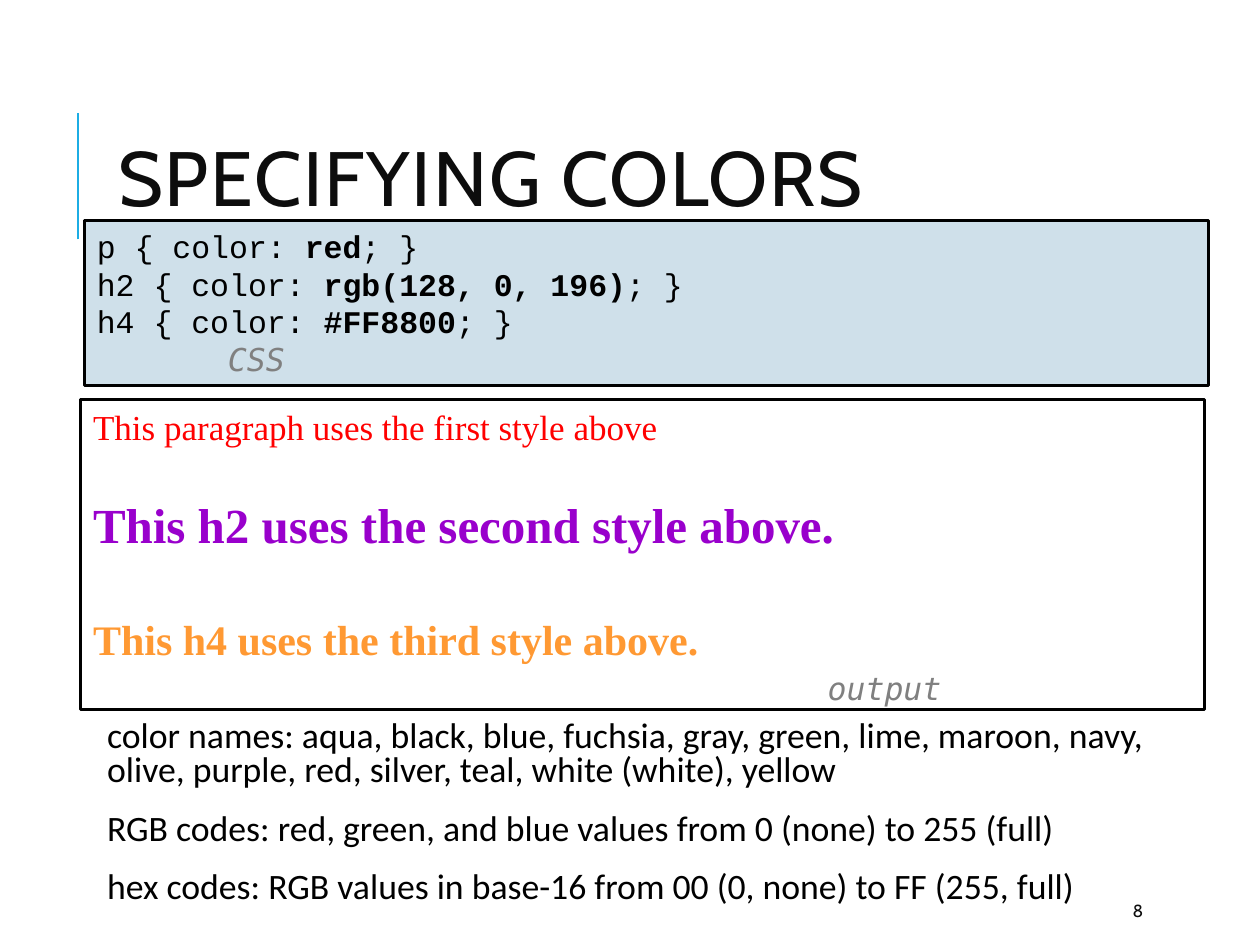
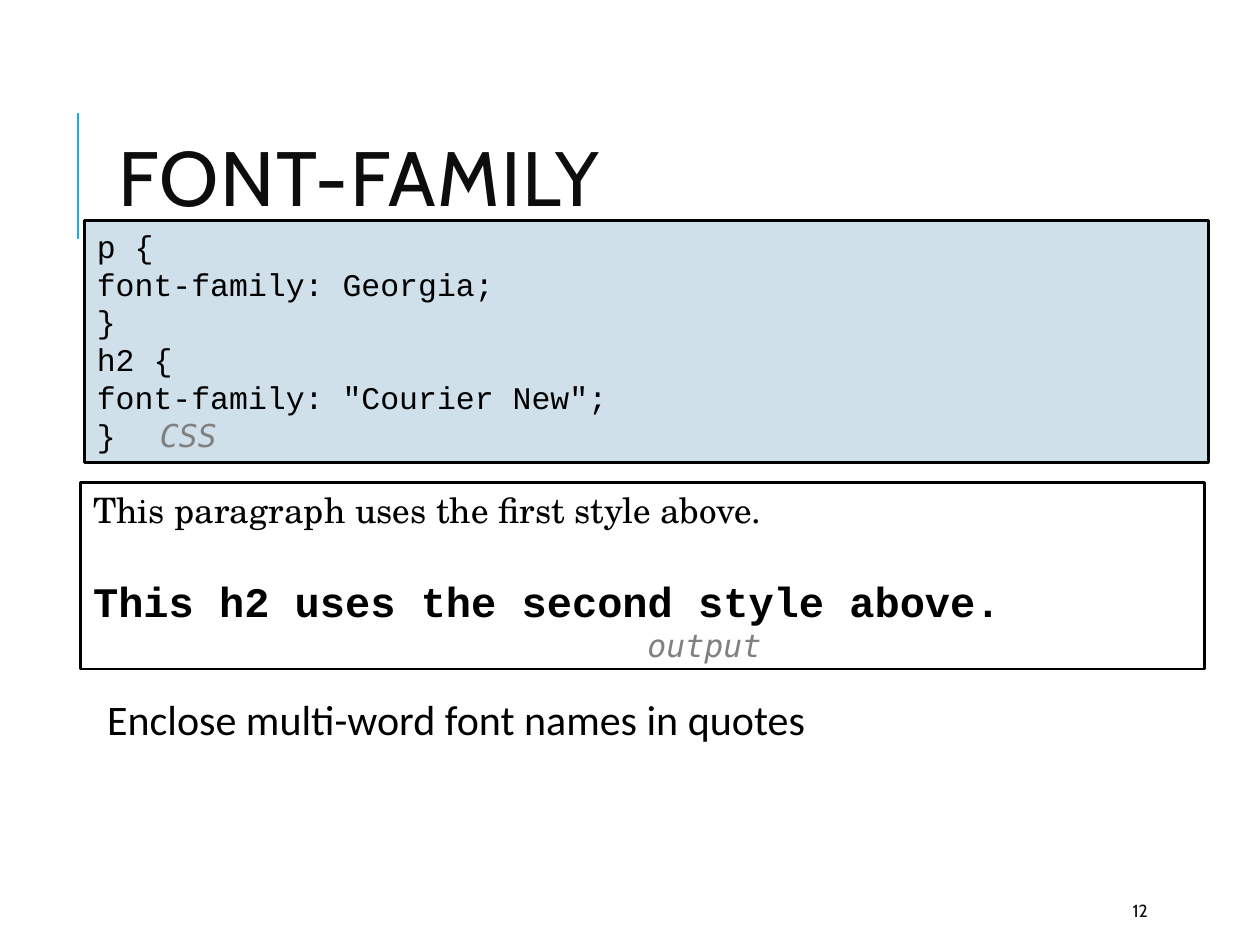
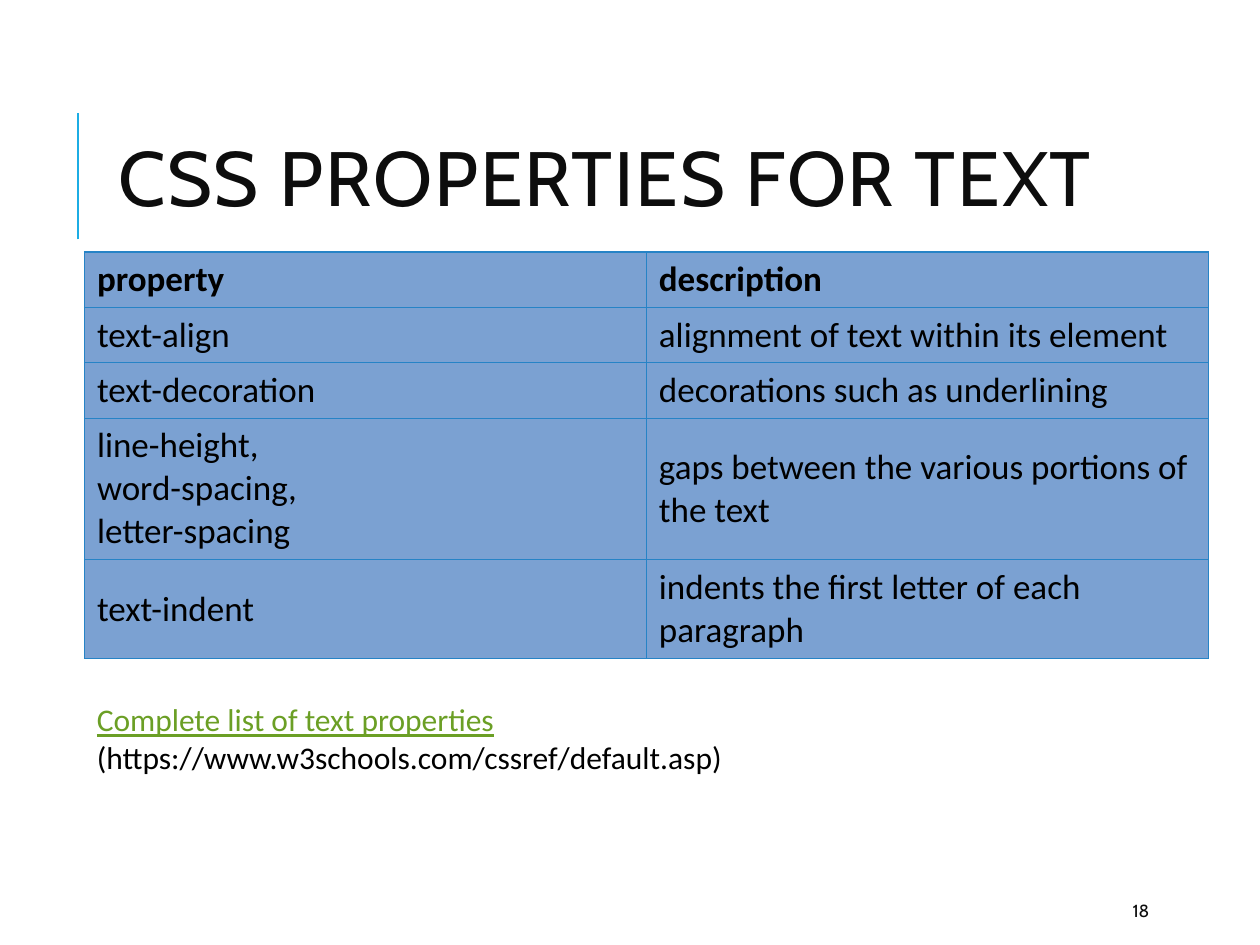
from dataclasses import dataclass

from pptx import Presentation
from pptx.dml.color import RGBColor
from pptx.enum.shapes import MSO_CONNECTOR, MSO_SHAPE
from pptx.enum.text import MSO_ANCHOR
from pptx.oxml.ns import qn
from pptx.slide import Slide
from pptx.table import _Cell
from pptx.text.text import TextFrame, _Paragraph
from pptx.util import Inches, Pt
from lxml import etree

TOP = MSO_ANCHOR.TOP
MIDDLE = MSO_ANCHOR.MIDDLE
RECTANGLE = MSO_SHAPE.RECTANGLE
STRAIGHT = MSO_CONNECTOR.STRAIGHT


@dataclass(frozen=True)
class Theme:
    # Colours
    accent: str = "1CADE4"
    heading: str = "0D0D0D"
    text: str = "000000"
    label: str = "808080"
    link: str = "6B9F25"
    code_fill: str = "CFE0EA"
    output_fill: str = "FFFFFF"
    cell_fill: str = "7BA1D2"
    cell_border: str = "2683C6"
    # Fonts
    heading_font: str = "Cabin"
    body_font: str = "Calibri"
    code_font: str = "Courier New"
    label_font: str = "DejaVu Sans Mono"
    serif_font: str = "Times New Roman"
    georgia_font: str = "TeX Gyre Schola"
    # Type sizes in points
    title_size: float = 44
    number_size: float = 10
    code_size: float = 18
    table_size: float = 20


THEME = Theme()


@dataclass(frozen=True)
class Run:
    text: str
    font: str = THEME.body_font
    size: float = THEME.code_size
    color: str = THEME.text
    bold: bool = False
    italic: bool = False
    underline: bool = False
    tracking: float = 0


@dataclass(frozen=True)
class Line:
    runs: tuple[Run, ...]
    indent: float = 0
    tab: float = 0
    before: float = 0
    after: float = 0
    spacing: float = 1


@dataclass(frozen=True)
class Box:
    left: float
    top: float
    width: float
    height: float

    def lengths(self) -> tuple[Inches, Inches, Inches, Inches]:
        return Inches(self.left), Inches(self.top), Inches(self.width), Inches(self.height)


TITLE_BOX = Box(0.84, 0.64, 7.97, 1.64)
NUMBER_BOX = Box(8.89, 7.08, 0.8, 0.3)
PANEL_WIDTH = 8.92
CODE_LEFT = 0.67
OUTPUT_LEFT = 0.64
BODY_LEFT = 0.7


# Text
def code(text: str, bold: bool = False) -> Run:
    return Run(text, THEME.code_font, bold=bold)


def label(text: str) -> Run:
    return Run(text, THEME.label_font, color=THEME.label, italic=True)


def css_rule(start: str, value: str) -> Line:
    return Line((code(f"{start} {{ color: "), code(value, bold=True), code("; }")))


def write_line(paragraph: _Paragraph, line: Line) -> None:
    properties = paragraph._p.get_or_add_pPr()
    properties.set("marL", str(Inches(line.indent)))
    properties.set("indent", "0")
    if line.tab:
        tabs = etree.SubElement(properties, qn("a:tabLst"))
        etree.SubElement(tabs, qn("a:tab"), pos=str(Inches(line.tab)), algn="l")
    paragraph.space_before = Pt(line.before)
    paragraph.space_after = Pt(line.after)
    paragraph.line_spacing = line.spacing
    for item in line.runs:
        run = paragraph.add_run()
        run.text = item.text
        font = run.font
        font.name = item.font
        font.size = Pt(item.size)
        font.color.rgb = RGBColor.from_string(item.color)
        font.bold = item.bold
        font.italic = item.italic
        font.underline = item.underline
        if item.tracking:
            run._r.get_or_add_rPr().set("spc", str(round(item.tracking * 100)))


def write_lines(text_frame: TextFrame, lines: list[Line], anchor: MSO_ANCHOR = TOP) -> None:
    text_frame.word_wrap = True
    text_frame.vertical_anchor = anchor
    for index, line in enumerate(lines):
        paragraph = text_frame.add_paragraph() if index else text_frame.paragraphs[0]
        write_line(paragraph, line)


def add_text(slide: Slide, box: Box, lines: list[Line], anchor: MSO_ANCHOR = TOP) -> TextFrame:
    text_frame = slide.shapes.add_textbox(*box.lengths()).text_frame
    write_lines(text_frame, lines, anchor)
    return text_frame


# Shared slide parts
def add_base_slide(presentation: Presentation, title: str, number: int) -> Slide:
    slide = presentation.slides.add_slide(presentation.slide_layouts[6])
    rule = slide.shapes.add_connector(
        STRAIGHT, Inches(0.62), Inches(1.9), Inches(0.62), Inches(0.9))
    rule.line.color.rgb = RGBColor.from_string(THEME.accent)
    rule.line.width = Pt(1.5)
    etree.SubElement(rule._element.spPr, qn("a:effectLst"))
    title_run = Run(title, THEME.heading_font, THEME.title_size, THEME.heading, tracking=1)
    add_text(slide, TITLE_BOX, [Line((title_run,), spacing=0.8)], MIDDLE)
    number_run = Run(str(number), THEME.heading_font, THEME.number_size, THEME.heading)
    add_text(slide, NUMBER_BOX, [Line((number_run,))], MIDDLE)
    return slide


def add_body(slide: Slide, top: float, texts: list[str], size: float, spacing: float) -> None:
    lines = [
        Line((Run(text, size=size),), indent=0.1, before=12 if index else 0,
             after=2, spacing=spacing)
        for index, text in enumerate(texts)
    ]
    text_frame = add_text(slide, Box(BODY_LEFT, top, PANEL_WIDTH, 1.67), lines)
    text_frame.margin_left = text_frame.margin_right = Inches(0.05)


def add_panel(slide: Slide, box: Box, fill: str, lines: list[Line]) -> None:
    panel = slide.shapes.add_shape(RECTANGLE, *box.lengths())
    panel.shadow.inherit = False
    panel.fill.solid()
    panel.fill.fore_color.rgb = RGBColor.from_string(fill)
    panel.line.color.rgb = RGBColor.from_string(THEME.text)
    panel.line.width = Pt(1.5)
    write_lines(panel.text_frame, lines)
    for paragraph in panel.text_frame.paragraphs:
        paragraph._p.get_or_add_pPr().set("algn", "l")


def add_code(slide: Slide, height: float, lines: list[Line]) -> None:
    add_panel(slide, Box(CODE_LEFT, 1.75, PANEL_WIDTH, height), THEME.code_fill, lines)


def add_output(slide: Slide, top: float, height: float, lines: list[Line]) -> None:
    add_panel(slide, Box(OUTPUT_LEFT, top, PANEL_WIDTH, height), THEME.output_fill, lines)


# Table
def border_cell(cell: _Cell) -> None:
    properties = cell._tc.get_or_add_tcPr()
    for index, side in enumerate(("lnL", "lnR", "lnT", "lnB")):
        line = etree.Element(qn(f"a:{side}"), w=str(Pt(0.75)))
        fill = etree.SubElement(line, qn("a:solidFill"))
        etree.SubElement(fill, qn("a:srgbClr"), val=THEME.cell_border)
        properties.insert(index, line)


def add_property_table(slide: Slide, rows: list[tuple[str, str]], heights: list[float]) -> None:
    box = Box(CODE_LEFT, 2, PANEL_WIDTH, sum(heights))
    table = slide.shapes.add_table(len(rows), 2, *box.lengths()).table
    table.first_row = table.horz_banding = False
    for row_index, (texts, height) in enumerate(zip(rows, heights)):
        table.rows[row_index].height = Inches(height)
        for column_index, text in enumerate(texts):
            cell = table.cell(row_index, column_index)
            cell.fill.solid()
            cell.fill.fore_color.rgb = RGBColor.from_string(THEME.cell_fill)
            border_cell(cell)
            lines = [Line((Run(part, size=THEME.table_size, bold=row_index == 0),))
                     for part in text.split("\n")]
            write_lines(cell.text_frame, lines)
            cell.vertical_anchor = MIDDLE


# Slides
def add_colors_slide(presentation: Presentation) -> None:
    slide = add_base_slide(presentation, "SPECIFYING COLORS", 8)
    add_body(slide, 5.67, [
        "color names: aqua, black, blue, fuchsia, gray, green, lime, maroon, navy, "
        "olive, purple, red, silver, teal, white (white), yellow",
        "RGB codes: red, green, and blue values from 0 (none) to 255 (full)",
        "hex codes: RGB values in base-16 from 00 (0, none) to FF (255, full)",
    ], 20.4, 0.8)
    add_code(slide, 1.31, [
        css_rule("p", "red"),
        css_rule("h2", "rgb(128, 0, 196)"),
        css_rule("h4", "#FF8800"),
        Line((label("CSS"),), indent=1.04),
    ])
    serif = THEME.serif_font
    add_output(slide, 3.17, 2.46, [
        Line((Run("This paragraph uses the first style above", serif, 20, "FF0000"),)),
        Line((Run("This h2 uses the second style above.", serif, 28, "9900CC", bold=True),),
             before=27),
        Line((Run("This h4 uses the third style above.", serif, 24, "FF9933", bold=True),),
             before=34),
        Line((label("output"),), indent=5.83, before=3),
    ])


def add_font_family_slide(presentation: Presentation) -> None:
    slide = add_base_slide(presentation, "FONT-FAMILY", 12)
    add_body(slide, 5.5, ["Enclose multi-word font names in quotes"], 24, 0.9)
    code_texts = ["p {", "font-family: Georgia;", "}", "h2 {", 'font-family: "Courier New";']
    add_code(slide, 1.92, [
        *(Line((code(text),)) for text in code_texts),
        Line((code("}\t"), label("CSS")), tab=4.69),
    ])
    add_output(slide, 3.83, 1.48, [
        Line((Run("This paragraph uses the first style above.", THEME.georgia_font, 20),)),
        Line((Run("This h2 uses the second style above.", THEME.code_font, 24, bold=True),),
             before=25.5),
        Line((label("output"),), indent=4.4),
    ])


def add_properties_slide(presentation: Presentation) -> None:
    slide = add_base_slide(presentation, "CSS PROPERTIES FOR TEXT", 18)
    add_property_table(slide, [
        ("property", "description"),
        ("text-align", "alignment of text within its element"),
        ("text-decoration", "decorations such as underlining"),
        ("line-height,\nword-spacing,\nletter-spacing",
         "gaps between the various portions of the text"),
        ("text-indent", "indents the first letter of each paragraph"),
    ], [0.44, 0.44, 0.44, 1.12, 0.79])
    add_text(slide, Box(CODE_LEFT, 5.51, 8.27, 0.7), [
        Line((Run("Complete list of text properties", color=THEME.link, underline=True),)),
        Line((Run("(https://www.w3schools.com/cssref/default.asp)"),)),
    ])


def main() -> None:
    presentation = Presentation()
    presentation.slide_width = Inches(10)
    presentation.slide_height = Inches(7.5)
    add_colors_slide(presentation)
    add_font_family_slide(presentation)
    add_properties_slide(presentation)
    presentation.save("out.pptx")


if __name__ == "__main__":
    main()
